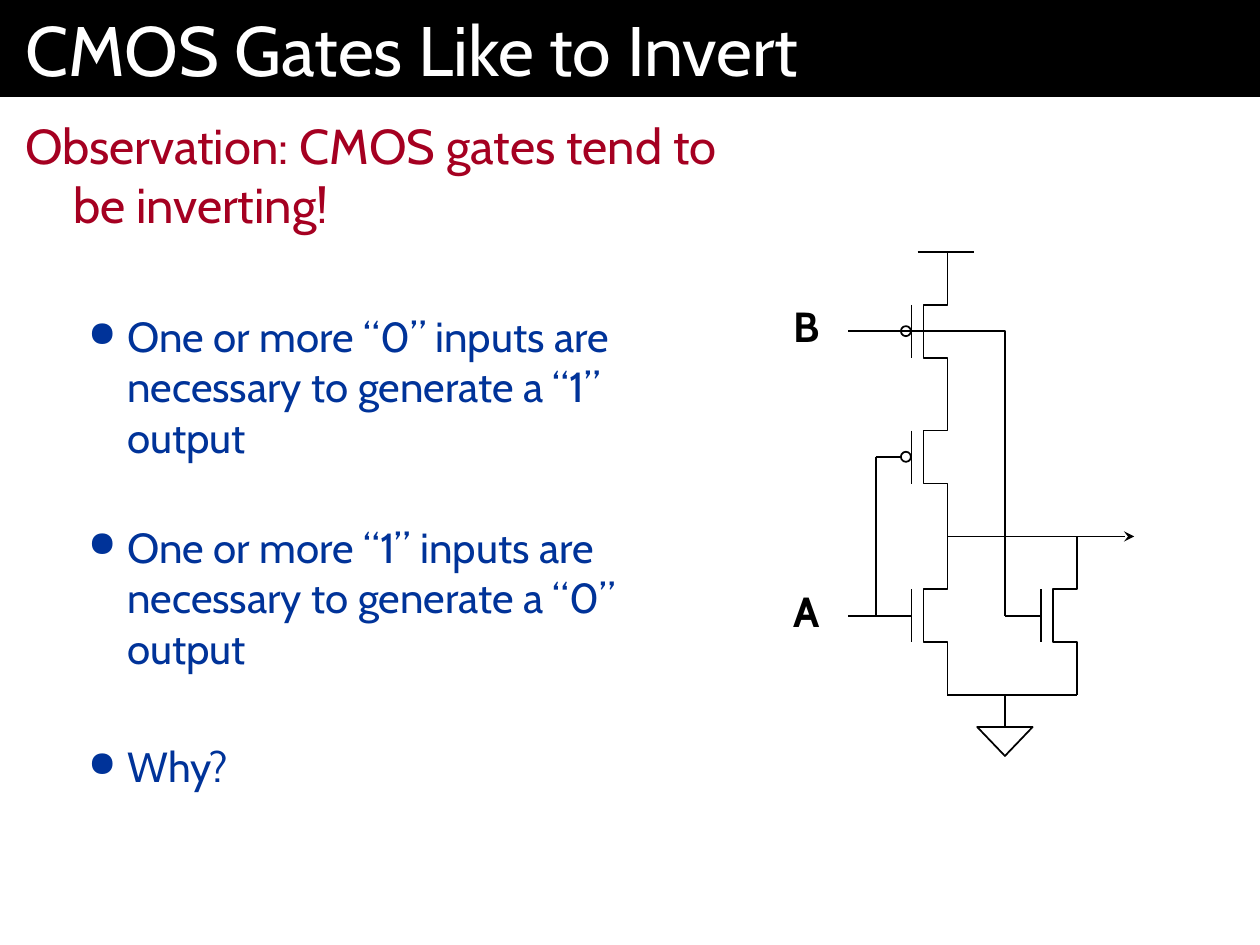
from dataclasses import dataclass

import pptx
import pptx.dml.color
import pptx.enum.shapes
import pptx.enum.text
import pptx.oxml
import pptx.oxml.ns
import pptx.util

Inches, Pt = pptx.util.Inches, pptx.util.Pt
MSO_SHAPE = pptx.enum.shapes.MSO_SHAPE
Anchor = pptx.enum.text.MSO_ANCHOR
Align = pptx.enum.text.PP_ALIGN
AutoSize = pptx.enum.text.MSO_AUTO_SIZE
Point = tuple[float, float]
WIDTH, HEIGHT = 10, 7.5


@dataclass(frozen=True)
class Theme:
    font: str = "Cabin"
    black: str = "000000"
    white: str = "FFFFFF"
    heading: str = "A50021"
    bullet: str = "003399"
    title_size: int = 40
    heading_size: int = 28
    text_size: int = 24
    line_width: int = 1


@dataclass(frozen=True)
class Grid:
    """Circuit grid: cell sizes and origin in inches."""
    left: float = 6.76
    top: float = 2
    column: float = 0.19
    row: float = 0.21

    def at(self, point: Point) -> tuple[int, int]:
        column, row = point
        return (Inches(self.left + column * self.column),
                Inches(self.top + row * self.row))


@dataclass(frozen=True)
class Transistor:
    column: float        # column of drain and source
    row: float           # row of the upper terminal
    gate_start: float    # column where the gate wire begins
    inverted: bool = False


@dataclass(frozen=True)
class BodyLine:
    text: str
    space_before: float
    bulleted: bool = True


THEME, GRID = Theme(), Grid()
DRAIN, MIDDLE, RIGHT, INPUT, INPUT_START = 4, 6.4, 9.4, 1, -0.15
OUTPUT_ROW, GROUND_ROW, A_ROW, B_ROW = 10.75, 16.75, 13.75, 3

BODY = [
    BodyLine("Observation: CMOS gates tend to be inverting!", 0, False),
    BodyLine("One or more “0” inputs are necessary to generate a “1” output", 44),
    BodyLine("One or more “1” inputs are necessary to generate a “0” output", 34),
    BodyLine("Why?", 39),
]
TRANSISTORS = [
    Transistor(DRAIN, 0, INPUT, True),
    Transistor(DRAIN, 4.75, INPUT, True),
    Transistor(DRAIN, OUTPUT_ROW, INPUT),
    Transistor(RIGHT, OUTPUT_ROW, MIDDLE),
]
WIRES = [
    ((2.75, 0), (5.1, 0)),                                   # supply
    ((DRAIN, GROUND_ROW), (RIGHT, GROUND_ROW)),              # ground rail
    ((MIDDLE, GROUND_ROW), (MIDDLE, GROUND_ROW + 1.2)),      # ground lead
    ((INPUT_START, A_ROW), (INPUT, A_ROW)),                  # input A
    ((INPUT, 7.75), (INPUT, A_ROW)),                         # A to upper gate
]


def rgb(color: str):
    return pptx.dml.color.RGBColor.from_string(color)


def set_attributes(target, values: dict) -> None:
    for name, value in values.items():
        setattr(target, name, value)


def format_frame(frame, horizontal: float, vertical: float, **values) -> None:
    set_attributes(frame, {
        "margin_left": Inches(horizontal), "margin_right": Inches(horizontal),
        "margin_top": Inches(vertical), "margin_bottom": Inches(vertical),
        **values})


def write(paragraph, text: str, size: int, color: str, bold: bool = False) -> None:
    run = paragraph.add_run()
    run.text = text
    set_attributes(run.font, {"name": THEME.font, "size": Pt(size), "bold": bold})
    run.font.color.rgb = rgb(color)


def outline(shape, fill: str | None = None) -> None:
    shape.shadow.inherit = False
    shape.line.color.rgb = rgb(THEME.black)
    shape.line.width = Pt(THEME.line_width)
    if fill:
        shape.fill.solid()
        shape.fill.fore_color.rgb = rgb(fill)
    else:
        shape.fill.background()


def add_xml(parent, tag: str, **attributes: str) -> None:
    element = pptx.oxml.parse_xml(f"<a:{tag} {pptx.oxml.ns.nsdecls('a')}/>")
    for name, value in attributes.items():
        element.set(name, value)
    parent.append(element)


def draw_wire(shapes, start: Point, end: Point, arrow: bool = False) -> None:
    wire = shapes.add_connector(pptx.enum.shapes.MSO_CONNECTOR.STRAIGHT,
                                *GRID.at(start), *GRID.at(end))
    wire.line.color.rgb = rgb(THEME.black)
    wire.line.width = Pt(THEME.line_width)
    if arrow:
        add_xml(wire.line._get_or_add_ln(), "tailEnd", type="stealth")
    add_xml(wire._element.spPr, "effectLst")


def draw_path(shapes, points: list[Point]) -> None:
    start, *rest = [GRID.at(point) for point in points]
    builder = shapes.build_freeform(*start)
    builder.add_line_segments(rest, close=False)
    outline(builder.convert_to_shape())


def draw_transistor(shapes, part: Transistor) -> None:
    x, y = part.column, part.row
    channel, gate = x - 1, x - 1.5
    draw_path(shapes, [(x, y), (x, y + 2), (channel, y + 2),
                       (channel, y + 4), (x, y + 4), (x, y + 6)])
    draw_wire(shapes, (gate, y + 2), (gate, y + 4))
    gate_end = gate - 0.4 if part.inverted else gate
    draw_wire(shapes, (part.gate_start, y + 3), (gate_end, y + 3))
    if part.inverted:
        bubble = shapes.add_shape(MSO_SHAPE.OVAL, *GRID.at((gate - 0.45, y + 2.8)),
                                  Inches(0.08), Inches(0.08))
        outline(bubble, THEME.white)


def draw_label(shapes, text: str, row: float) -> None:
    label = shapes.add_textbox(*GRID.at((-3.08, row - 1.17)),
                               Inches(0.43), Inches(0.47))
    format_frame(label.text_frame, 0.1, 0.05, word_wrap=False,
                 auto_size=AutoSize.SHAPE_TO_FIT_TEXT)
    paragraph = label.text_frame.paragraphs[0]
    set_attributes(paragraph, {"alignment": Align.RIGHT, "line_spacing": 0.9})
    write(paragraph, text, THEME.text_size, THEME.black, bold=True)


def draw_title(title) -> None:
    set_attributes(title, {"left": 0, "top": 0, "width": Inches(WIDTH),
                           "height": Inches(0.77)})
    title.fill.solid()
    title.fill.fore_color.rgb = rgb(THEME.black)
    format_frame(title.text_frame, 0.2, 0.05, word_wrap=True,
                 vertical_anchor=Anchor.MIDDLE, auto_size=AutoSize.NONE)
    paragraph = title.text_frame.paragraphs[0]
    paragraph.alignment = Align.LEFT
    write(paragraph, "CMOS Gates Like to Invert", THEME.title_size, THEME.white)


def draw_body(shapes) -> None:
    body = shapes.add_textbox(0, Inches(0.77), Inches(5.92), Inches(HEIGHT - 0.77))
    frame = body.text_frame
    format_frame(frame, 0.2, 0.15, word_wrap=True)
    for index, line in enumerate(BODY):
        paragraph = frame.add_paragraph() if index else frame.paragraphs[0]
        paragraph.space_before = Pt(line.space_before)
        properties = paragraph._p.get_or_add_pPr()
        margin, hanging = (0.81, 0.31) if line.bulleted else (0.38, 0.38)
        properties.set("marL", str(Inches(margin)))
        properties.set("indent", str(-Inches(hanging)))
        if line.bulleted:
            add_xml(properties, "buSzPct", val="85000")
            add_xml(properties, "buChar", char="●")
            write(paragraph, line.text, THEME.text_size, THEME.bullet)
        else:
            write(paragraph, line.text, THEME.heading_size, THEME.heading)


def draw_circuit(shapes) -> None:
    for transistor in TRANSISTORS:
        draw_transistor(shapes, transistor)
    for start, end in WIRES:
        draw_wire(shapes, start, end)
    draw_wire(shapes, (DRAIN, OUTPUT_ROW), (11.8, OUTPUT_ROW), arrow=True)
    # Input B runs across to the right-hand gate
    draw_path(shapes, [(INPUT_START, B_ROW), (MIDDLE, B_ROW), (MIDDLE, A_ROW)])
    ground = shapes.add_shape(MSO_SHAPE.ISOSCELES_TRIANGLE,
                              *GRID.at((MIDDLE - 1.16, GROUND_ROW + 1.2)),
                              Inches(0.44), Inches(0.23))
    ground.rotation = 180
    outline(ground, THEME.white)
    for text, row in (("A", A_ROW), ("B", B_ROW)):
        draw_label(shapes, text, row)


def main() -> None:
    presentation = pptx.Presentation()
    set_attributes(presentation, {"slide_width": Inches(WIDTH),
                                  "slide_height": Inches(HEIGHT)})
    slide = presentation.slides.add_slide(presentation.slide_layouts[5])
    draw_title(slide.shapes.title)
    draw_body(slide.shapes)
    draw_circuit(slide.shapes)
    presentation.save("out.pptx")


if __name__ == "__main__":
    main()
